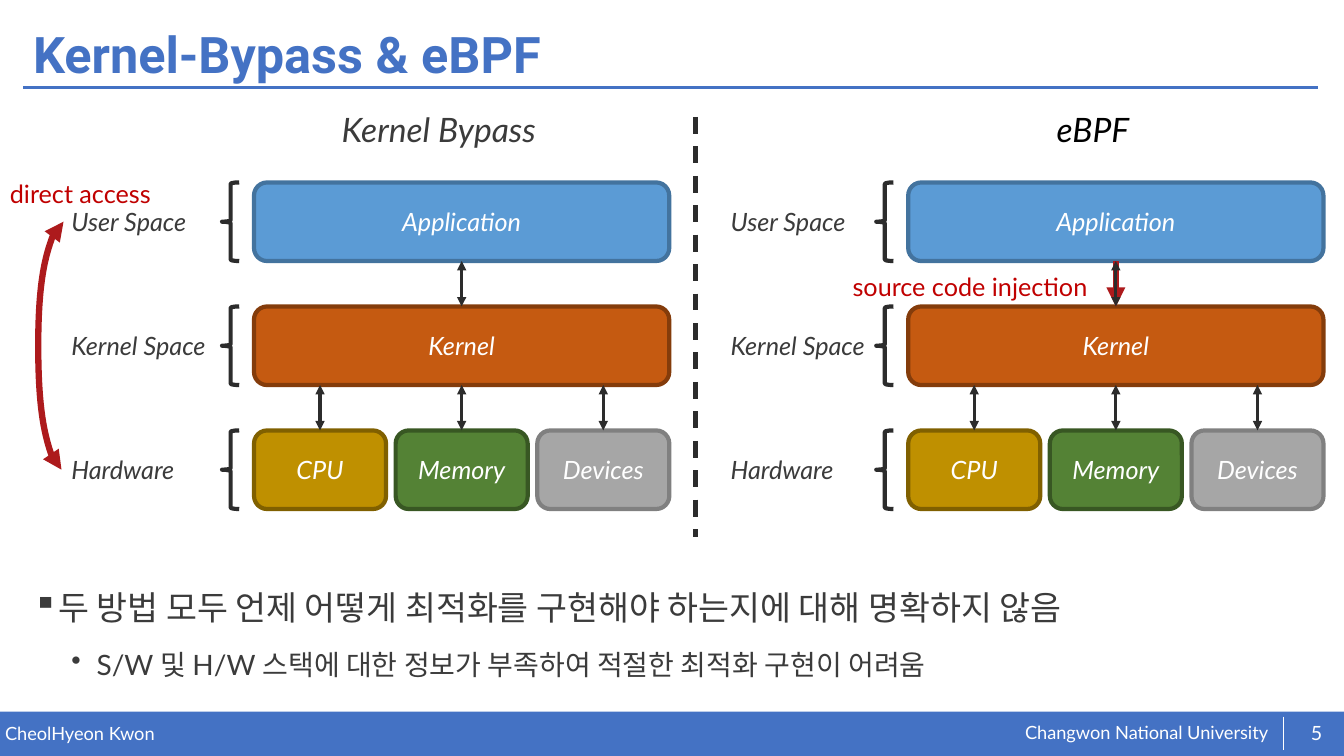
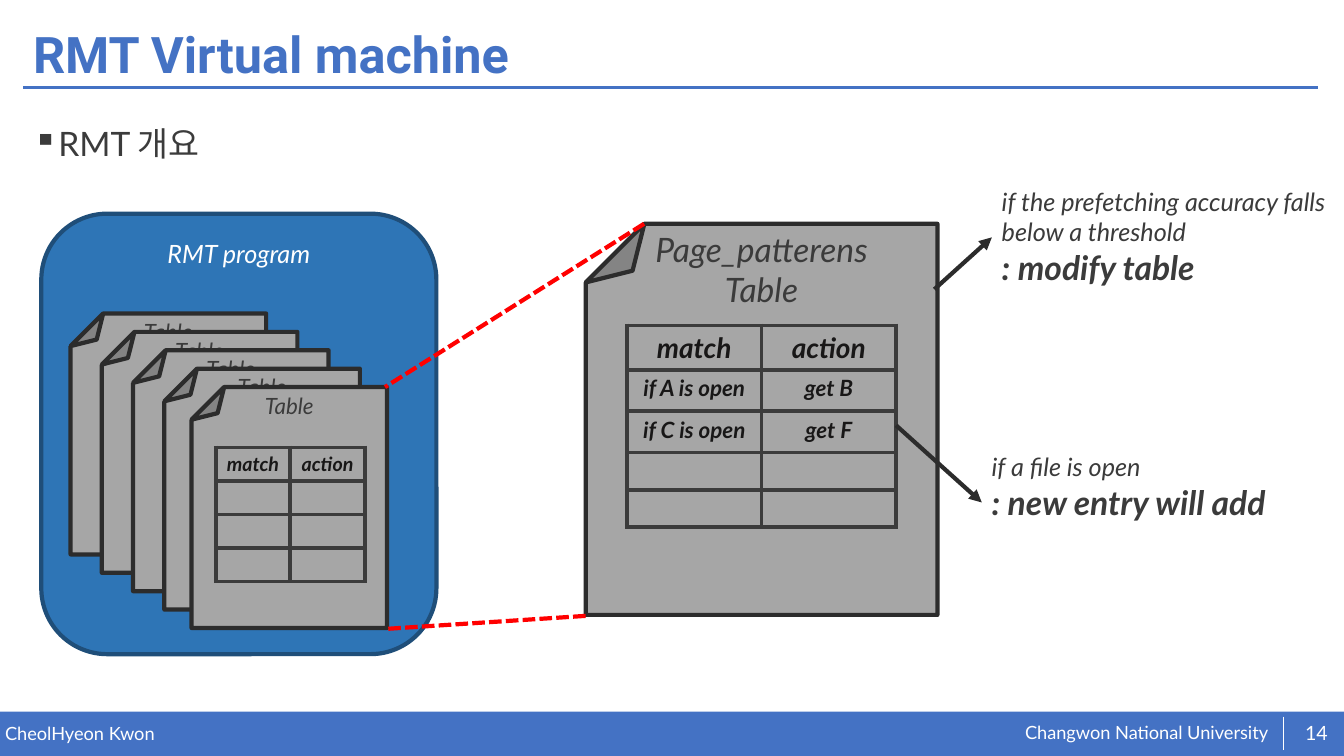
from lxml import etree
from pptx import Presentation
from pptx.dml.color import RGBColor
from pptx.enum.dml import MSO_LINE as DASH
from pptx.enum.shapes import MSO_CONNECTOR as LINK, MSO_SHAPE as SHAPE
from pptx.enum.text import MSO_ANCHOR as ANCHOR, PP_ALIGN as ALIGN
from pptx.oxml.ns import qn
from pptx.util import Inches, Pt

BLUE = RGBColor(0x44, 0x72, 0xC4)
WHITE = RGBColor(0xFF, 0xFF, 0xFF)
BLACK = RGBColor(0x00, 0x00, 0x00)
GREY = RGBColor(0x3B, 0x3B, 0x3B)
INK = RGBColor(0x2C, 0x2C, 0x2C)
CELL_INK = RGBColor(0x18, 0x17, 0x17)
SHEET = RGBColor(0xA6, 0xA6, 0xA6)
SHEET_EDGE = RGBColor(0x80, 0x80, 0x80)
SKY, SKY_EDGE = RGBColor(0x5B, 0x9B, 0xD5), RGBColor(0x43, 0x73, 0x9E)
RUST, RUST_EDGE = RGBColor(0xC5, 0x5A, 0x11), RGBColor(0x84, 0x3C, 0x0B)
GOLD, GOLD_EDGE = RGBColor(0xBF, 0x90, 0x00), RGBColor(0x80, 0x60, 0x00)
GREEN, GREEN_EDGE = RGBColor(0x54, 0x82, 0x35), RGBColor(0x38, 0x57, 0x23)
PANEL, PANEL_EDGE = RGBColor(0x2E, 0x75, 0xB6), RGBColor(0x1F, 0x4E, 0x79)
CRIMSON = RGBColor(0xAD, 0x1A, 0x1C)
NOTE_RED = RGBColor(0xC0, 0x00, 0x00)
RED = RGBColor(0xFF, 0x00, 0x00)

deck = Presentation()
deck.slide_width, deck.slide_height = Inches(13.33), Inches(7.5)
# The slide is a grid of 40 columns and 30 rows
COL, ROW = deck.slide_width / 40, deck.slide_height / 30


def draw(slide, kind, left, top, right, bottom, fill=None, line=None,
         weight=3, dash=None, head=False, tail=False):
    """Add a text box (kind None), a shape (width, height) or a line (end point)."""
    spots = [int(left * COL), int(top * ROW), int(right * COL), int(bottom * ROW)]
    if kind is None:
        box = slide.shapes.add_textbox(*spots)
        box.text_frame.word_wrap = True
        return box
    if isinstance(kind, LINK):
        item = slide.shapes.add_connector(kind, *spots)
    else:
        item = slide.shapes.add_shape(kind, *spots)
        item.shadow.inherit = False
        item.fill.background()
        if fill is not None:
            item.fill.solid()
            item.fill.fore_color.rgb = fill
    if line is None:
        item.line.fill.background()
        return item
    item.line.color.rgb = line
    item.line.width = Pt(weight)
    if dash is not None:
        item.line.dash_style = dash
    if isinstance(kind, LINK):
        outline = item.element.spPr.find(qn("a:ln"))
        for tag, wanted in (("a:headEnd", head), ("a:tailEnd", tail)):
            if wanted:
                etree.SubElement(outline, qn(tag), type="triangle")
        etree.SubElement(item.element.spPr, qn("a:effectLst"))
    return item


def write(frame, text, size=18, color=GREY, font="Lato", bold=False, italic=False,
          align=ALIGN.LEFT, anchor=None, margin=None, spacing=None, before=None,
          bullet=None, indent=0):
    """Write one paragraph, after any that the frame already holds."""
    para = frame.add_paragraph() if frame.text else frame.paragraphs[0]
    if bullet:
        props = para._p.get_or_add_pPr()
        props.set("marL", str(Inches(indent)))
        props.set("indent", str(-Inches(0.25)))
        etree.SubElement(props, qn("a:buChar"), char=bullet)
    para.alignment = align
    if spacing is not None:
        para.line_spacing = spacing
    if before is not None:
        para.space_before = Pt(before)
    if anchor is not None:
        frame.vertical_anchor = anchor
    if margin is not None:
        frame.margin_left = frame.margin_right = margin
        frame.margin_top = frame.margin_bottom = margin
    run = para.add_run()
    run.text = text
    run.font.name, run.font.size = font, Pt(size)
    run.font.bold, run.font.italic = bold, italic
    run.font.color.rgb = color


# Title, rule and footer of every slide
pages = []
for title, number in (("Kernel-Bypass & eBPF", "5"), ("RMT Virtual machine", "14")):
    page = deck.slides.add_slide(deck.slide_layouts[6])
    draw(page, SHAPE.RECTANGLE, 0, 28.24, 40, 1.76, fill=BLUE)
    draw(page, LINK.STRAIGHT, 0.69, 3.48, 39.24, 3.48, line=BLUE, weight=2)
    draw(page, LINK.STRAIGHT, 38.19, 28.44, 38.19, 29.76, line=WHITE, weight=0.5)
    write(draw(page, None, 0.69, 0.72, 38.58, 3.08).text_frame, title, size=36,
          color=BLUE, font="Roboto", bold=True, anchor=ANCHOR.MIDDLE, spacing=0.9)
    write(draw(page, None, 30.51, 28.64, 8, 0.92).text_frame,
          "Changwon National University", size=13, color=WHITE, margin=0)
    write(draw(page, None, 0.15, 28.68, 19.65, 0.88).text_frame,
          "CheolHyeon Kwon", size=13, color=WHITE, margin=0)
    write(draw(page, None, 38.46, 28.28, 1.44, 1.6).text_frame, number, size=14,
          color=WHITE, align=ALIGN.CENTER, anchor=ANCHOR.MIDDLE, margin=0)
    pages.append(page)
bypass_page, rmt_page = pages

# Slide 5: two stacks of layers side by side
STACK_TOP, LAYER_STEP, LAYER_H = 7.24, 4.92, 3.12
STACK_W, DEVICE_W = 12.36, 3.93
DEVICE_STEP = (STACK_W - DEVICE_W) / 2
layers = (
    ("User Space", [("Application", STACK_W, SKY, SKY_EDGE)]),
    ("Kernel Space", [("Kernel", STACK_W, RUST, RUST_EDGE)]),
    ("Hardware", [("CPU", DEVICE_W, GOLD, GOLD_EDGE),
                  ("Memory", DEVICE_W, GREEN, GREEN_EDGE),
                  ("Devices", DEVICE_W, SHEET, SHEET_EDGE)]),
)
panels = (("Kernel Bypass", GREY, 7.56, 1.83, False), ("eBPF", BLACK, 27.03, 21.45, True))
for heading, heading_color, stack_left, label_left, injected in panels:
    write(draw(bypass_page, None, stack_left + 0.9, 4.12, 9.2, 2).text_frame, heading,
          size=24, color=heading_color, italic=True, align=ALIGN.CENTER)
    parts = {}
    for level, (label, blocks) in enumerate(layers):
        top = STACK_TOP + level * LAYER_STEP
        draw(bypass_page, SHAPE.LEFT_BRACE, stack_left - 0.95, top, 0.51, LAYER_H, line=INK)
        write(draw(bypass_page, None, label_left, top + 0.76, 5.3, 1.6).text_frame,
              label, italic=True)
        for place, (name, width, fill, edge) in enumerate(blocks):
            parts[name] = draw(bypass_page, SHAPE.ROUNDED_RECTANGLE,
                               stack_left + place * DEVICE_STEP, top, width, LAYER_H,
                               fill=fill, line=edge)
            write(parts[name].text_frame, name, color=WHITE, italic=True,
                  align=ALIGN.CENTER, anchor=ANCHOR.MIDDLE)

    # Arrows between the layers
    kernel_top = STACK_TOP + LAYER_STEP
    app_bottom, kernel_bottom = STACK_TOP + LAYER_H, kernel_top + LAYER_H
    middle = stack_left + STACK_W / 2
    calls = [(INK, 2.25, True)]
    if injected:
        calls.insert(0, (CRIMSON, 4.5, False))
    for color, weight, both_ways in calls:
        call = draw(bypass_page, LINK.STRAIGHT, middle, app_bottom, middle, kernel_top,
                    line=color, weight=weight, head=both_ways, tail=True)
        call.begin_connect(parts["Application"], 2)
        call.end_connect(parts["Kernel"], 0)
    for place, name in enumerate(("CPU", "Memory", "Devices")):
        x = stack_left + DEVICE_W / 2 + place * DEVICE_STEP
        access = draw(bypass_page, LINK.STRAIGHT, x, kernel_bottom, x,
                      kernel_top + LAYER_STEP, line=INK, weight=2.25, head=True, tail=True)
        if name == "Memory":
            access.begin_connect(parts["Kernel"], 2)
        access.end_connect(parts[name], 0)

# Divider, red remarks and the curved bypass arrow
draw(bypass_page, LINK.STRAIGHT, 20.7, 4.64, 20.7, 21.32, line=INK, dash=DASH.DASH)
for remark, left, top, width in (("direct access", 0, 6.88, 6.93),
                                 ("source code injection", 25.08, 10.56, 10.08)):
    write(draw(bypass_page, None, left, top, width, 1.6).text_frame, remark, color=NOTE_RED)
detour = draw(bypass_page, LINK.CURVE, 1.83, 8.8, 1.89, 18.64, line=CRIMSON,
              weight=4.5, head=True, tail=True)
detour_frame = detour.element.spPr.find(qn("a:xfrm"))
detour_frame.set("rot", "10800000")
detour_frame.set("flipV", "1")
bends = detour.element.spPr.find(qn("a:prstGeom")).find(qn("a:avLst"))
etree.SubElement(bends, qn("a:gd"), name="adj1", fmla="val 1250000")

# Findings
findings = draw(bypass_page, None, 0.69, 22.44, 38.58, 5.56).text_frame
write(findings, "두 방법 모두 언제 어떻게 최적화를 구현해야 하는지에 대해 명확하지 않음",
      size=24, spacing=1.4, bullet="▪", indent=0.25)
write(findings, "S/W 및 H/W 스택에 대한 정보가 부족하여 적절한 최적화 구현이 어려움",
      size=20, spacing=1.4, before=5, bullet="•", indent=0.63)

# Slide 14: overview line and program panel
write(draw(rmt_page, None, 0.69, 4.04, 38.58, 3).text_frame, "RMT 개요",
      size=24, spacing=1.4, bullet="▪", indent=0.25)
program = draw(rmt_page, SHAPE.ROUNDED_RECTANGLE, 1.23, 8.48, 11.76, 17.48,
               fill=PANEL, line=PANEL_EDGE)
write(program.text_frame, "RMT program", color=WHITE, italic=True,
      align=ALIGN.CENTER, anchor=ANCHOR.TOP)

# Pile of sheets and the enlarged sheet
sheets = [(left, 12.44 + 0.73 * depth, 5.82, 9.56, 16, ["Table"])
          for depth, left in enumerate((2.1, 3.03, 3.96, 4.89, 5.7))]
sheets.append((17.43, 8.88, 10.47, 15.52, 24, ["Page_patterens", "Table"]))
for left, top, width, height, size, caption in sheets:
    sheet = draw(rmt_page, SHAPE.FOLDED_CORNER, left, top, width, height,
                 fill=SHEET, line=INK)
    sheet.rotation = 180
    caption_frame = draw(rmt_page, None, left, top, width, 2.56).text_frame
    for words in caption:
        write(caption_frame, words, size=size, italic=True, align=ALIGN.CENTER)

# Match and action tables
header = ("match", "action")
empty = ("", "")
tables = (
    (6.42, 17.76, 4.44, [1.33] * 4, (14, 14), [header] + [empty] * 3),
    (18.66, 12.92, 8.01, [1.76, 1.64, 1.64, 1.48, 1.48], (20, 16),
     [header, ("if A is open", "get B"), ("if C is open", "get F"), empty, empty]),
)
for left, top, width, heights, (header_size, entry_size), entries in tables:
    rules = rmt_page.shapes.add_table(
        len(entries), 2, int(left * COL), int(top * ROW),
        int(width * COL), int(sum(heights) * ROW)).table
    rules.first_row = rules.horz_banding = False
    for r, entry in enumerate(entries):
        rules.rows[r].height = int(heights[r] * ROW)
        for c, words in enumerate(entry):
            cell = rules.cell(r, c)
            cell.margin_top = Inches(0.05) if words else 0
            cell.margin_bottom = 0
            cell.margin_left = cell.margin_right = Inches(0.05)
            for side in ("a:lnL", "a:lnR", "a:lnT", "a:lnB"):
                border = etree.SubElement(cell._tc.get_or_add_tcPr(), qn(side), w=str(Pt(3)))
                paint = etree.SubElement(border, qn("a:solidFill"))
                etree.SubElement(paint, qn("a:srgbClr"), val=str(GREY))
            cell.fill.background()
            if words:
                write(cell.text_frame, words, size=entry_size if r else header_size,
                      color=CELL_INK, bold=True, italic=True, align=ALIGN.CENTER)

# Zoom lines from the front sheet to the enlarged one
for ends in ((19.17, 8.88, 11.46, 15.36), (17.43, 24.44, 11.46, 24.96)):
    draw(rmt_page, LINK.STRAIGHT, *ends, line=RED, dash=DASH.SQUARE_DOT)

# Notes with their arrows
notes = (
    ("if the prefetching accuracy falls below a threshold", ": modify table",
     29.52, 7.2, 27.81, 11.48),
    ("if a file is open", ": new entry will add", 29.22, 17.72, 26.67, 16.88),
)
for condition, result, left, top, from_x, from_y in notes:
    note = draw(rmt_page, None, left, top, 10.5, 4.44)
    write(note.text_frame, condition, italic=True)
    write(note.text_frame, result, size=24, bold=True, italic=True)
    arrow = draw(rmt_page, LINK.STRAIGHT, from_x, from_y, left, top + 2.22,
                 line=INK, tail=True)
    arrow.end_connect(note, 1)

deck.save("out.pptx")
